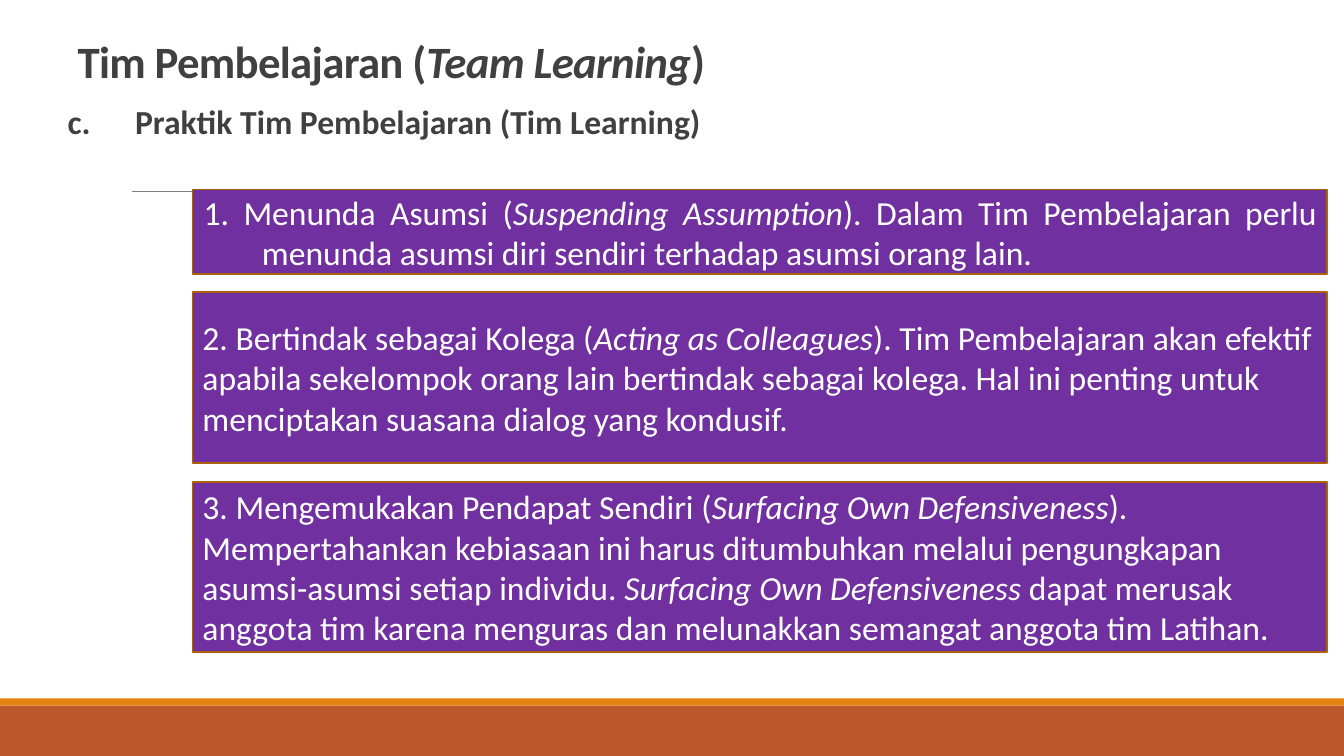
from dataclasses import dataclass

from lxml.etree import SubElement
from pptx import Presentation
from pptx.dml.color import RGBColor
from pptx.enum.shapes import MSO_CONNECTOR, MSO_SHAPE
from pptx.enum.text import MSO_ANCHOR, MSO_AUTO_SIZE, PP_ALIGN
from pptx.oxml.ns import qn
from pptx.util import Inches, Pt


@dataclass(frozen=True)
class Theme:
    font: str = "Calibri"
    title_size: float = 32
    text_size: float = 24
    dark: str = "404040"
    white: str = "FFFFFF"
    purple: str = "7030A0"
    border: str = "A9610D"
    rule: str = "808080"
    rust: str = "BD582C"
    orange: str = "E48312"


THEME = Theme()

BOX_LEFT, BOX_WIDTH = 1.91, 11.25

# Top, height, paragraph format, hanging indent, and text runs as (text, italic)
PRACTICES = [
    (1.88, 0.84, {"alignment": PP_ALIGN.JUSTIFY}, (0.59, -0.58), [
        ("1. Menunda Asumsi (", False),
        ("Suspending Assumption", True),
        ("). Dalam Tim Pembelajaran perlu menunda asumsi diri sendiri "
         "terhadap asumsi orang lain.", False)]),
    (2.9, 1.69, {"alignment": PP_ALIGN.LEFT}, (0, 0), [
        ("2. Bertindak sebagai Kolega (", False),
        ("Acting as Colleagues", True),
        ("). Tim Pembelajaran akan efektif apabila sekelompok orang lain "
         "bertindak sebagai kolega. Hal ini penting untuk menciptakan "
         "suasana dialog yang kondusif.", False)]),
    (4.78, 1.69, {"alignment": PP_ALIGN.LEFT}, (0, 0), [
        ("3. Mengemukakan Pendapat Sendiri (", False),
        ("Surfacing Own Defensiveness", True),
        ("). Mempertahankan kebiasaan ini harus ditumbuhkan melalui "
         "pengungkapan asumsi-asumsi setiap individu. ", False),
        ("Surfacing Own Defensiveness ", True),
        ("dapat merusak anggota tim karena menguras dan melunakkan "
         "semangat anggota tim Latihan.", False)]),
]


def apply(obj, formats):
    for name, value in formats.items():
        setattr(obj, name, value)


def place(sp, left, top, width, height):
    apply(sp, {"left": Inches(left), "top": Inches(top),
               "width": Inches(width), "height": Inches(height)})


def set_indent(p, margin, first):
    pPr = p._p.get_or_add_pPr()
    pPr.set("marL", str(Inches(margin)))
    pPr.set("indent", str(Inches(first)))
    return pPr


def add_runs(p, runs, size, color, bold=False, spacing=None):
    for text, italic in runs:
        r = p.add_run()
        r.text = text
        apply(r.font, {"name": THEME.font, "size": Pt(size),
                       "bold": bold, "italic": italic})
        r.font.color.rgb = RGBColor.from_string(color)
        if spacing is not None:
            r._r.get_or_add_rPr().set("spc", str(int(spacing * 100)))


def add_rect(s, left, top, width, height, fill, line=None):
    sp = s.shapes.add_shape(MSO_SHAPE.RECTANGLE, Inches(left), Inches(top),
                            Inches(width), Inches(height))
    sp.shadow.inherit = False
    sp.fill.solid()
    sp.fill.fore_color.rgb = RGBColor.from_string(fill)
    if line:
        sp.line.color.rgb = RGBColor.from_string(line)
        sp.line.width = Pt(1.25)
    else:
        sp.line.fill.background()
    return sp


def add_rule(s, left, right, y):
    line = s.shapes.add_connector(MSO_CONNECTOR.STRAIGHT, Inches(left),
                                  Inches(y), Inches(right), Inches(y))
    line.line.color.rgb = RGBColor.from_string(THEME.rule)
    line.line.width = Pt(0.5)
    SubElement(line._element.spPr, qn("a:effectLst"))


def fill_title(sp):
    place(sp, 0.67, 0, 12, 0.92)
    tf = sp.text_frame
    apply(tf, {"vertical_anchor": MSO_ANCHOR.BOTTOM, "word_wrap": True,
               "auto_size": MSO_AUTO_SIZE.NONE})
    p = tf.paragraphs[0]
    apply(p, {"alignment": PP_ALIGN.LEFT, "line_spacing": 0.85})
    runs = [("Tim Pembelajaran (", False), ("Team Learning", True), (")", False)]
    add_runs(p, runs, THEME.title_size, THEME.dark, bold=True, spacing=-0.5)


def fill_body(sp):
    place(sp, 0.67, 1, 12, 4.96)
    tf = sp.text_frame
    apply(tf, {"margin_left": 0, "margin_right": 0, "word_wrap": True,
               "auto_size": MSO_AUTO_SIZE.NONE})
    p = tf.paragraphs[0]
    apply(p, {"alignment": PP_ALIGN.JUSTIFY, "line_spacing": 0.9,
              "space_before": Pt(12), "space_after": Pt(2)})
    SubElement(set_indent(p, 0.67, -0.67), qn("a:buNone"))
    add_runs(p, [("c.\tPraktik Tim Pembelajaran (Tim Learning)", False)],
             THEME.text_size, THEME.dark, bold=True)


def add_practice(s, top, height, formats, indent, runs):
    sp = add_rect(s, BOX_LEFT, top, BOX_WIDTH, height, THEME.purple, THEME.border)
    tf = sp.text_frame
    apply(tf, {"vertical_anchor": MSO_ANCHOR.MIDDLE, "word_wrap": True})
    p = tf.paragraphs[0]
    apply(p, {"level": 1, **formats})
    set_indent(p, *indent)
    add_runs(p, runs, THEME.text_size, THEME.white)


def main():
    prs = Presentation()
    apply(prs, {"slide_width": Inches(13.33), "slide_height": Inches(7.5)})
    s = prs.slides.add_slide(prs.slide_layouts[1])

    # Heading and subheading
    fill_title(s.shapes.title)
    fill_body(s.placeholders[1])

    # Footer bands and rule
    add_rect(s, 0, 7, 13.33, 0.5, THEME.rust)
    add_rect(s, 0, 6.93, 13.33, 0.07, THEME.orange)
    add_rule(s, 1.31, 12.21, 1.9)

    # Practice boxes
    for practice in PRACTICES:
        add_practice(s, *practice)

    prs.save("out.pptx")


if __name__ == "__main__":
    main()
